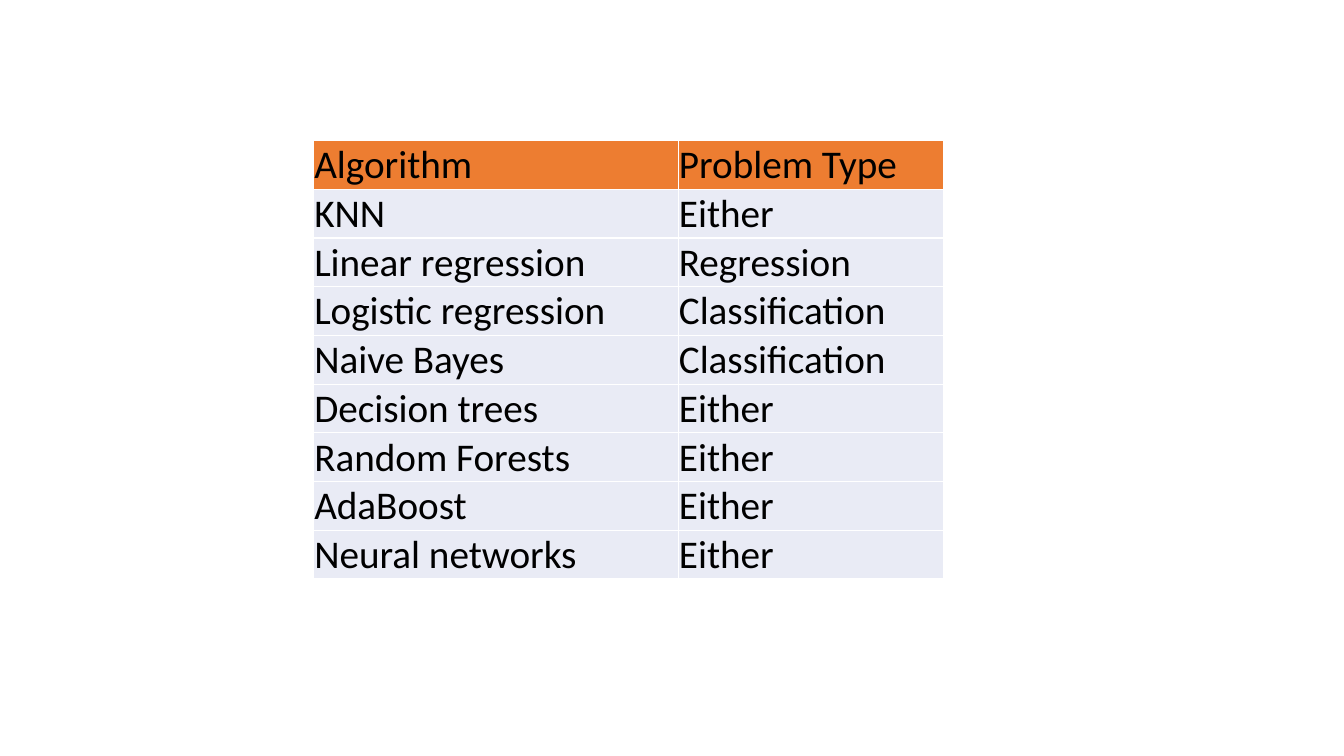
from lxml import etree
from pptx import Presentation
from pptx.dml.color import RGBColor
from pptx.enum import text
from pptx.oxml import ns
from pptx.util import Cm, Pt

HEADER = ("Algorithm", "Problem Type")
ALGORITHMS = [
    ("KNN", "Either"),
    ("Linear regression", "Regression"),
    ("Logistic regression", "Classification"),
    ("Naive Bayes", "Classification"),
    ("Decision trees", "Either"),
    ("Random Forests", "Either"),
    ("AdaBoost", "Either"),
    ("Neural networks", "Either"),
]
COLUMN_WIDTHS = (9.19, 6.68)
ROW_HEIGHT = 1.21
LEFT, TOP = 7.9, 3.54
INSET = 0.02
HEADER_FILL, BODY_FILL = "ED7D31", "E9EBF5"
TEXT_COLOR, BORDER_COLOR = "000000", "FFFFFF"


def color(value):
    return RGBColor.from_string(value)


def add_borders(cell):
    properties = cell._tc.get_or_add_tcPr()
    for side in ("lnL", "lnR", "lnT", "lnB"):
        border = etree.SubElement(properties, ns.qn(f"a:{side}"), w=str(Pt(1)))
        fill = etree.SubElement(border, ns.qn("a:solidFill"))
        etree.SubElement(fill, ns.qn("a:srgbClr"), val=BORDER_COLOR)


def fill_cell(cell, wording, background):
    add_borders(cell)
    cell.fill.solid()
    cell.fill.fore_color.rgb = color(background)
    cell.margin_left = cell.margin_right = cell.margin_top = Cm(INSET)
    cell.margin_bottom = 0
    cell.vertical_anchor = text.MSO_ANCHOR.BOTTOM
    cell.text = wording
    font = cell.text_frame.paragraphs[0].font
    font.name = "Calibri"
    font.size = Pt(28)
    font.bold = False
    font.color.rgb = color(TEXT_COLOR)


def main():
    deck = Presentation()
    deck.slide_width, deck.slide_height = Cm(33.87), Cm(19.05)
    slide = deck.slides.add_slide(deck.slide_layouts[6])
    rows = [HEADER, *ALGORITHMS]
    algorithms = slide.shapes.add_table(
        len(rows), len(HEADER), Cm(LEFT), Cm(TOP),
        Cm(sum(COLUMN_WIDTHS)), Cm(ROW_HEIGHT * len(rows)),
    ).table
    algorithms.horz_banding = False
    for column, width in zip(algorithms.columns, COLUMN_WIDTHS):
        column.width = Cm(width)
    for r, row in enumerate(rows):
        algorithms.rows[r].height = Cm(ROW_HEIGHT)
        for c, wording in enumerate(row):
            fill_cell(algorithms.cell(r, c), wording, BODY_FILL if r else HEADER_FILL)
    deck.save("out.pptx")


if __name__ == "__main__":
    main()
